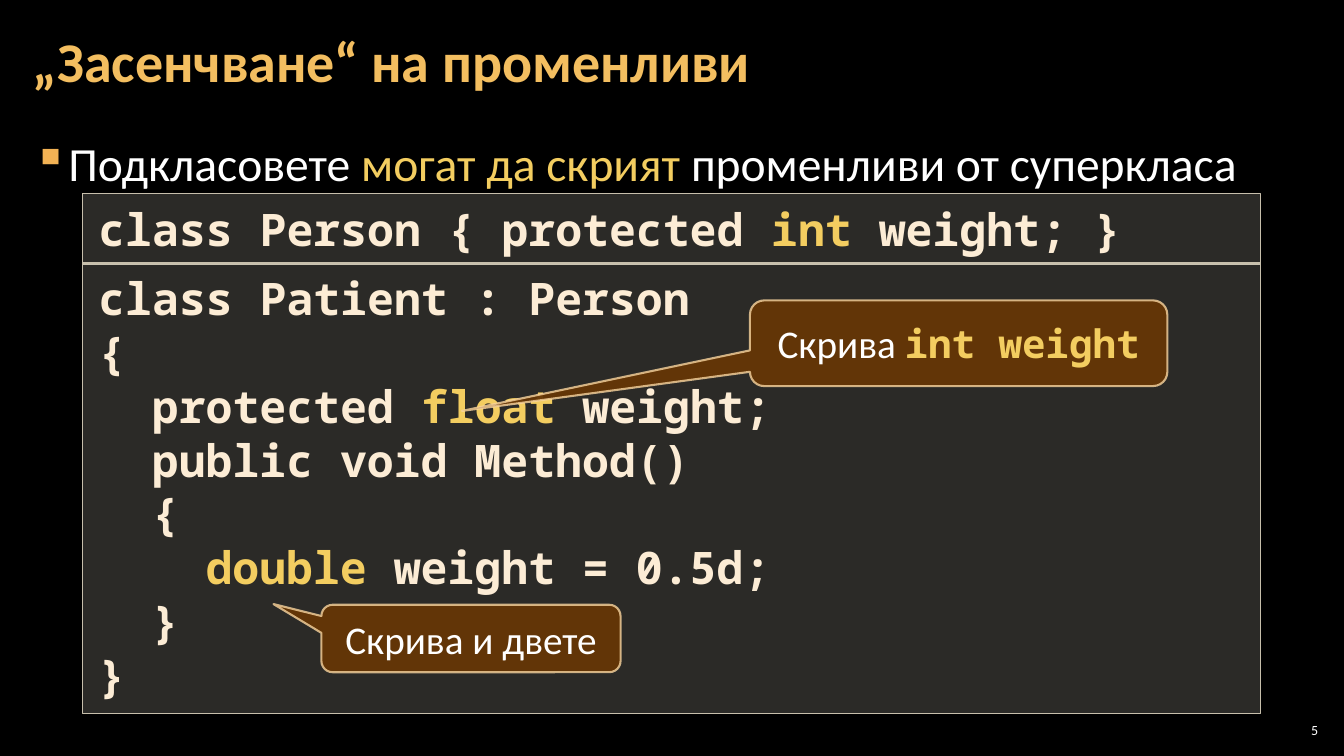
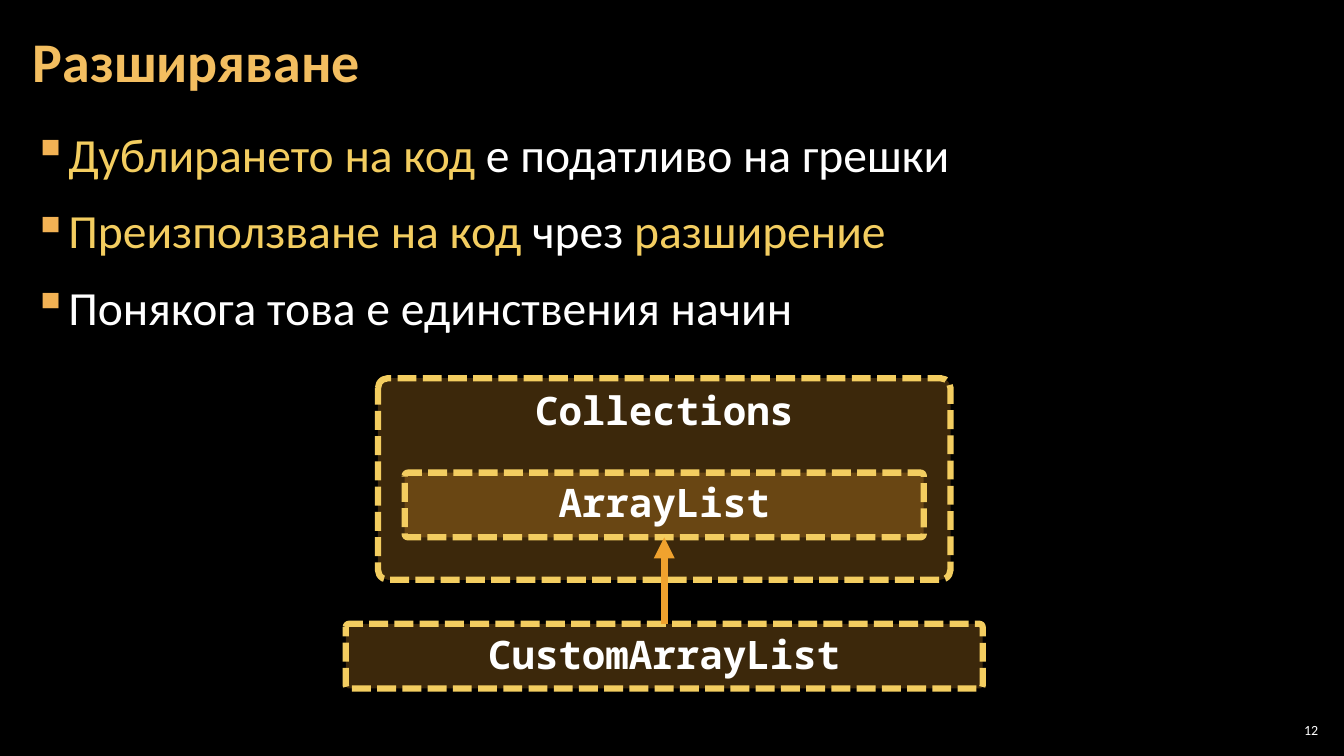
from lxml import etree
from pptx import Presentation
from pptx.dml.color import RGBColor
from pptx.enum.dml import MSO_LINE
from pptx.enum.shapes import MSO_CONNECTOR, MSO_SHAPE
from pptx.enum.text import MSO_ANCHOR, PP_ALIGN
from pptx.oxml.ns import qn
from pptx.util import Cm, Pt

RECT, ROUNDED = MSO_SHAPE.RECTANGLE, MSO_SHAPE.ROUNDED_RECTANGLE
CALLOUT = MSO_SHAPE.ROUNDED_RECTANGULAR_CALLOUT
TOP, MIDDLE = MSO_ANCHOR.TOP, MSO_ANCHOR.MIDDLE
LEFT, CENTER, RIGHT = PP_ALIGN.LEFT, PP_ALIGN.CENTER, PP_ALIGN.RIGHT
DASH = MSO_LINE.SQUARE_DOT

BLACK = RGBColor(0x00, 0x00, 0x00)
WHITE = RGBColor(0xFF, 0xFF, 0xFF)
TITLE_GOLD = RGBColor(0xF3, 0xBE, 0x60)
BULLET_ORANGE = RGBColor(0xF2, 0xB2, 0x54)
HIGHLIGHT = RGBColor(0xF3, 0xCD, 0x60)
CODE_TEXT = RGBColor(0xFC, 0xEC, 0xD5)
CODE_FILL = RGBColor(0xD9, 0xD5, 0xC7)
CODE_BORDER = RGBColor(0xC7, 0xBF, 0xAC)
CALLOUT_FILL = RGBColor(0x66, 0x36, 0x06)
CALLOUT_BORDER = RGBColor(0xF8, 0xD4, 0x9E)
ORANGE = RGBColor(0xF0, 0xA2, 0x2E)

SANS, MONO = "Calibri", "Noto Sans Mono"
CODE_INDENT = Cm(1.35)


def write(shape, lines, size, color=WHITE, font=SANS, bold=False, align=LEFT,
          anchor=TOP, inset=(0.25, 0.13), marked_font=None):
    """Fill a shape with lines; parts between asterisks are highlighted."""
    frame = shape.text_frame
    frame.word_wrap = True
    frame.vertical_anchor = anchor
    frame.margin_left = frame.margin_right = Cm(inset[0])
    frame.margin_top = frame.margin_bottom = Cm(inset[1])
    for number, line in enumerate(lines):
        paragraph = frame.add_paragraph() if number else frame.paragraphs[0]
        paragraph.alignment = align
        for position, part in enumerate(line.split("*")):
            if not part:
                continue
            marked = position % 2 == 1
            run = paragraph.add_run()
            run.text = part
            run.font.size = Pt(size)
            run.font.name = marked_font if marked and marked_font else font
            run.font.bold = bold or bool(marked and marked_font)
            run.font.color.rgb = HIGHLIGHT if marked else color
    return frame.paragraphs


def add_panel(slide, kind, box, fill, opacity, border, width, border_opacity=100):
    panel = slide.shapes.add_shape(kind, *map(Cm, box))
    panel.shadow.inherit = False
    panel.fill.solid()
    panel.fill.fore_color.rgb = fill
    panel.line.color.rgb = border
    panel.line.width = Pt(width)
    colors = panel._element.spPr.iter(qn("a:srgbClr"))
    for color, percent in zip(list(colors), (opacity, border_opacity)):
        etree.SubElement(color, qn("a:alpha"), val=str(percent * 1000))
    return panel


prs = Presentation()
prs.slide_width, prs.slide_height = Cm(33.87), Cm(19.05)

# Title, bullets and page number of every slide
contents = [
    ("„Засенчване“ на променливи", "5", 3.2,
     ["Подкласовете *могат да скрият *променливи от суперкласа"]),
    ("Разширяване", "12", 2.97,
     ["*Дублирането на код *е податливо на грешки",
      "*Преизползване на код *чрез *разширение*",
      "Понякога това е единствения начин"]),
]
slides = []
for title, page, bullets_top, bullets in contents:
    slide = prs.slides.add_slide(prs.slide_layouts[6])
    slides.append(slide)
    slide.background.fill.solid()
    slide.background.fill.fore_color.rgb = BLACK

    heading = slide.shapes.add_textbox(Cm(0.53), Cm(0.1), Cm(26.59), Cm(3.07))
    write(heading, [title], 40, TITLE_GOLD, bold=True, anchor=MIDDLE,
          inset=(0.3, 0.1))[0].line_spacing = 0.9

    body = slide.shapes.add_textbox(Cm(0.53), Cm(bullets_top), Cm(32.79), Cm(15.47))
    for paragraph in write(body, bullets, 34, inset=(0.3, 0.1)):
        paragraph.line_spacing = 1.05
        paragraph.space_before = paragraph.space_after = Pt(6)
        properties = paragraph._p.get_or_add_pPr()
        properties.set("marL", str(Cm(0.84)))
        properties.set("indent", str(-Cm(0.84)))
        bullet_color = etree.SubElement(properties, qn("a:buClr"))
        etree.SubElement(bullet_color, qn("a:srgbClr"), val=str(BULLET_ORANGE))
        etree.SubElement(properties, qn("a:buChar"), char="▪")

    page_number = slide.shapes.add_textbox(Cm(32.13), Cm(18.14), Cm(1.19), Cm(0.53))
    write(page_number, [page], 10, align=RIGHT, anchor=MIDDLE, inset=(0.1, 0.1))

hiding, extension = slides

# Code panels: every line with its indent level
code_blocks = [
    (4.88, 1.77, [(0, "class Person { protected *int *weight; }")]),
    (6.63, 11.35, [
        (0, "class Patient : Person"),
        (0, "{"),
        (1, "protected *float* weight;"),
        (1, "public void Method()"),
        (1, "{"),
        (2, "*double* weight = 0.5d;"),
        (1, "}"),
        (0, "}"),
    ]),
]
for top, height, code in code_blocks:
    panel = add_panel(hiding, RECT, (2.08, top, 29.69, height),
                      CODE_FILL, 20, CODE_BORDER, 1)
    paragraphs = write(panel, [line for _, line in code], 32, CODE_TEXT, MONO,
                       bold=True, inset=(0.4, 0.2))
    for paragraph, (level, _) in zip(paragraphs, code):
        paragraph._p.get_or_add_pPr().set("marL", str(level * CODE_INDENT))

# Callouts pointing at the hiding variables
callouts = [
    ("Скрива *int weight*", (18.9, 7.57, 10.52, 2.16), (-1.19, 0.79)),
    ("Скрива и двете", (8.1, 15.24, 7.54, 1.7), (-0.66, -0.51)),
]
for remark, box, pointer in callouts:
    callout = add_panel(hiding, CALLOUT, box, CALLOUT_FILL, 95,
                        CALLOUT_BORDER, 1.5, 80)
    callout.adjustments[0], callout.adjustments[1] = pointer
    write(callout, [remark], 28, align=CENTER, anchor=MIDDLE, marked_font=MONO)

# Class diagram, centred on one axis
AXIS = 16.74
class_boxes = [
    ("Collections", 9.53, 14.43, 5.08),
    ("ArrayList", 11.91, 13.08, 1.63),
    ("CustomArrayList", 15.72, 16.05, 1.63),
]
for class_name, top, width, height in class_boxes:
    class_box = add_panel(extension, ROUNDED, (AXIS - width / 2, top, width, height),
                          ORANGE, 25, HIGHLIGHT, 4.5)
    class_box.adjustments[0] = 0.05
    class_box.line.dash_style = DASH
    write(class_box, [class_name], 28, font=MONO, bold=True, align=CENTER)

inheritance = extension.shapes.add_connector(
    MSO_CONNECTOR.STRAIGHT, Cm(AXIS), Cm(15.72), Cm(AXIS), Cm(13.54))
inheritance.line.color.rgb = ORANGE
inheritance.line.width = Pt(5)
etree.SubElement(inheritance.line._get_or_add_ln(), qn("a:tailEnd"), type="triangle")
etree.SubElement(inheritance._element.spPr, qn("a:effectLst"))

prs.save("out.pptx")
